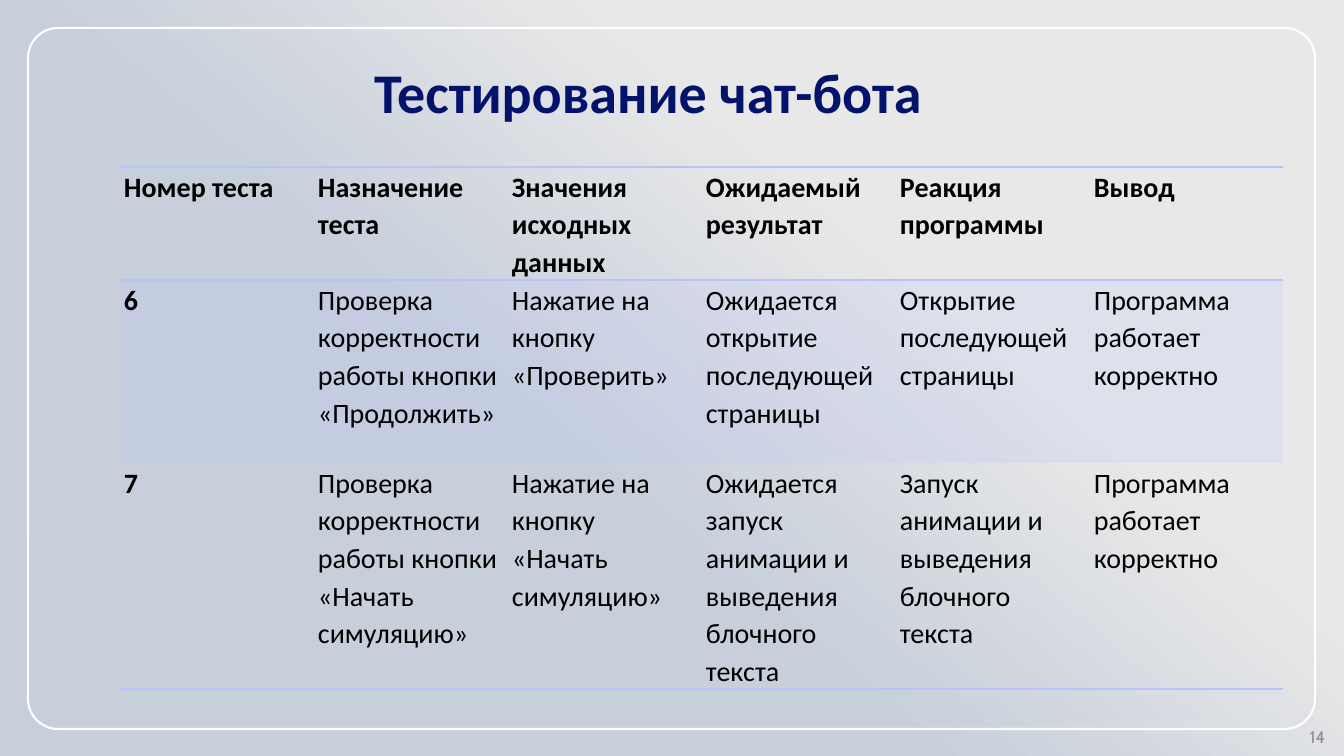
from dataclasses import dataclass

from lxml.etree import SubElement
from pptx import Presentation
from pptx.dml.color import RGBColor
from pptx.enum.shapes import MSO_SHAPE
from pptx.enum.text import MSO_ANCHOR, MSO_AUTO_SIZE, PP_ALIGN
from pptx.oxml import parse_xml
from pptx.oxml.ns import nsdecls, qn
from pptx.util import Emu, Pt

PX_PER_INCH = 100.8
COLORS = {
    "light": "E8E8E8",
    "mist": "C7CFDB",
    "frame": "FFFFFF",
    "title": "03126A",
    "text": "000000",
    "rule": "B8C2FD",
    "number": "8C8C8C",
}
NO_STYLE = "{2D5ABB26-0587-4C30-8999-92F81FD0307C}"
COLUMN_WIDTH = 194


@dataclass(frozen=True)
class TestRow:
    height: int
    texts: tuple[str, ...]
    header: bool = False
    tinted: bool = False
    ruled_sides: tuple[str, ...] = ()


ROWS = [
    TestRow(113, ("Номер теста", "Назначение теста", "Значения исходных данных",
                  "Ожидаемый результат", "Реакция программы", "Вывод"),
            header=True, ruled_sides=("T", "B")),
    TestRow(183, ("6", "Проверка корректности работы кнопки «Продолжить»",
                  "Нажатие на кнопку «Проверить»",
                  "Ожидается открытие последующей страницы",
                  "Открытие последующей страницы",
                  "Программа работает корректно"),
            tinted=True),
    TestRow(226, ("7", "Проверка корректности работы кнопки «Начать симуляцию»",
                  "Нажатие на кнопку «Начать симуляцию»",
                  "Ожидается запуск анимации и выведения блочного текста",
                  "Запуск анимации и выведения блочного текста",
                  "Программа работает корректно"),
            ruled_sides=("B",)),
]


def px(length: int) -> Emu:
    return Emu(round(length * 914400 / PX_PER_INCH))


def color(name: str) -> RGBColor:
    return RGBColor.from_string(COLORS[name])


def format_runs(paragraph, size: int, family: str, color_name: str, bold: bool = False) -> None:
    for run in paragraph.runs:
        run.font.size = Pt(size)
        run.font.name = family
        run.font.bold = bold
        run.font.color.rgb = color(color_name)


def add_rules(cell, sides: tuple[str, ...]) -> None:
    properties = cell._tc.get_or_add_tcPr()
    for side in reversed(sides):
        properties.insert(0, parse_xml(
            f'<a:ln{side} {nsdecls("a")} w="12700"><a:solidFill>'
            f'<a:srgbClr val="{COLORS["rule"]}"/></a:solidFill></a:ln{side}>'))


def fill_cell(cell, text: str, row: TestRow, bold: bool) -> None:
    cell.margin_left = cell.margin_right = px(5)
    cell.margin_top = cell.margin_bottom = 0
    paragraph = cell.text_frame.paragraphs[0]
    paragraph.text = text
    paragraph.line_spacing = 1.1
    format_runs(paragraph, 20, "Calibri", "text", bold)
    if row.tinted:
        cell.fill.solid()
        cell.fill.fore_color.rgb = color("rule")
        tint = cell._tc.tcPr.find(".//" + qn("a:srgbClr"))
        SubElement(tint, qn("a:alpha"), val="20000")
    else:
        cell.fill.background()
    add_rules(cell, row.ruled_sides)


def add_background(slide) -> None:
    fill = slide.background.fill
    fill.gradient()
    fill.gradient_angle = 230
    for stop, (position, name) in zip(fill.gradient_stops, ((0.33, "light"), (0.59, "mist"))):
        stop.position = position
        stop.color.rgb = color(name)


def add_frame(slide) -> None:
    frame = slide.shapes.add_shape(MSO_SHAPE.ROUNDED_RECTANGLE, px(28), px(28), px(1287), px(701))
    frame.adjustments[0] = 0.043
    frame.shadow.inherit = False
    frame.fill.background()
    frame.line.color.rgb = color("frame")
    frame.line.width = Pt(1.5)


def set_title(slide) -> None:
    title = slide.shapes.title
    title.left, title.top, title.width, title.height = px(364), px(52), px(575), px(78)
    heading = title.text_frame
    heading.text = "Тестирование чат-бота"
    heading.word_wrap = False
    heading.auto_size = MSO_AUTO_SIZE.SHAPE_TO_FIT_TEXT
    heading.vertical_anchor = MSO_ANCHOR.TOP
    heading.paragraphs[0].alignment = PP_ALIGN.LEFT
    format_runs(heading.paragraphs[0], 40, "Calibri", "title", bold=True)


def add_test_table(slide) -> None:
    column_count = len(ROWS[0].texts)
    tests = slide.shapes.add_table(
        len(ROWS), column_count, px(119), px(167),
        px(COLUMN_WIDTH * column_count), px(sum(row.height for row in ROWS))).table
    tests.horz_banding = False
    tests._tbl.tblPr.find(qn("a:tableStyleId")).text = NO_STYLE
    for column in tests.columns:
        column.width = px(COLUMN_WIDTH)
    for row_index, row in enumerate(ROWS):
        tests.rows[row_index].height = px(row.height)
        for column_index, text in enumerate(row.texts):
            fill_cell(tests.cell(row_index, column_index), text, row,
                      bold=row.header or column_index == 0)


def add_page_number(slide) -> None:
    page_number = slide.shapes.add_textbox(px(1033), px(724), px(302), px(25)).text_frame
    page_number.word_wrap = True
    page_number.vertical_anchor = MSO_ANCHOR.MIDDLE
    page_number.text = "14"
    page_number.paragraphs[0].alignment = PP_ALIGN.RIGHT
    format_runs(page_number.paragraphs[0], 12, "Cabin", "number")


def main() -> None:
    presentation = Presentation()
    presentation.slide_width, presentation.slide_height = px(1344), px(756)
    slide = presentation.slides.add_slide(presentation.slide_layouts[5])

    # Backdrop
    add_background(slide)
    add_frame(slide)

    # Content
    set_title(slide)
    add_test_table(slide)
    add_page_number(slide)

    presentation.save("out.pptx")


if __name__ == "__main__":
    main()
